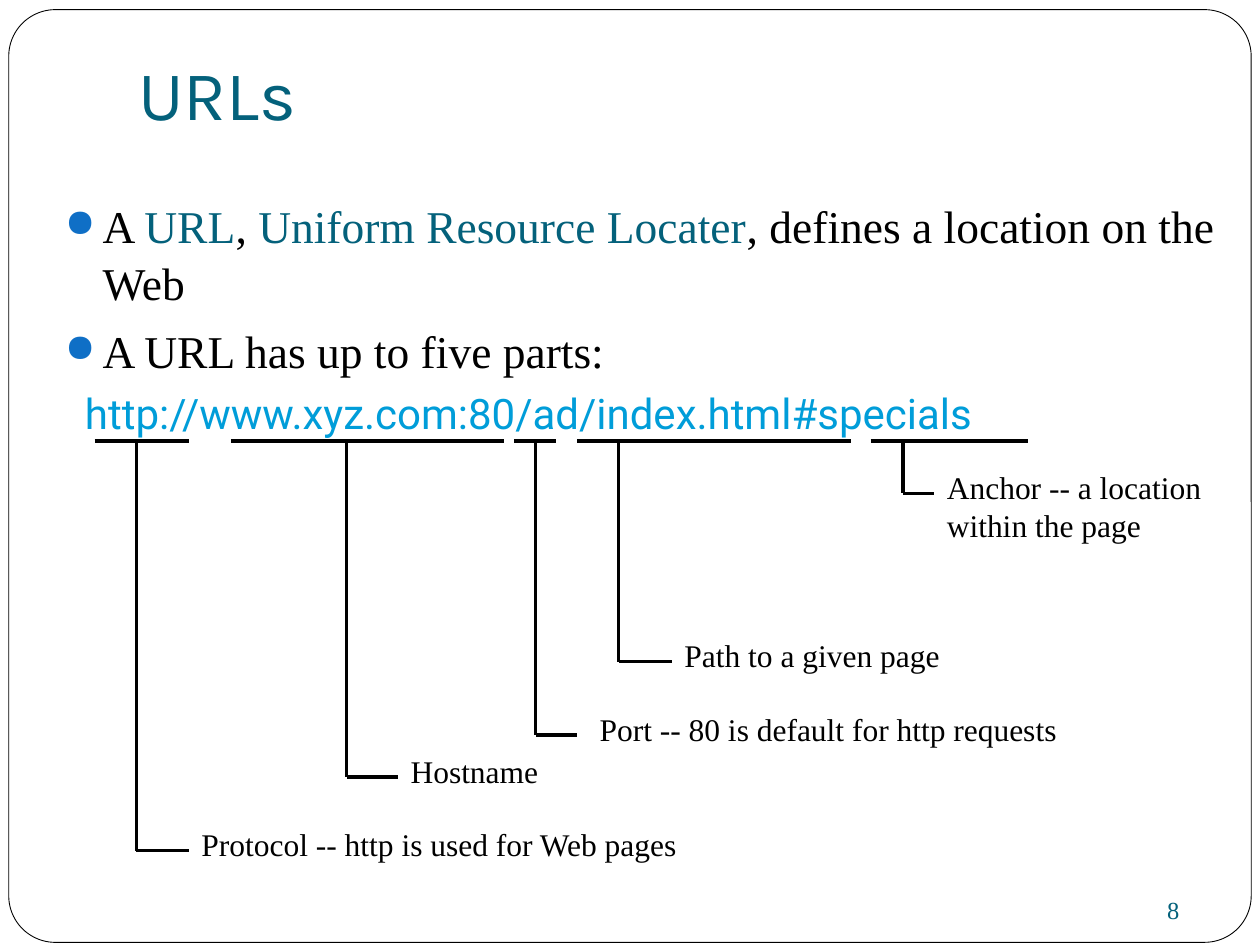
from lxml import etree
from pptx import Presentation
from pptx.dml.color import RGBColor
from pptx.enum import shapes, text
from pptx.oxml.ns import qn
from pptx.util import Pt

BLACK = RGBColor(0x00, 0x00, 0x00)
WHITE = RGBColor(0xFF, 0xFF, 0xFF)
TEAL = RGBColor(0x04, 0x61, 0x7B)
SKY = RGBColor(0x00, 0x9D, 0xD9)
BULLET = RGBColor(0x0F, 0x6F, 0xC6)
SERIF = "Times New Roman"

URL_Y = 252       # underlines below the URL
LABEL_RISE = 18   # label top above its tick

# underline start, underline end, stem x, tick y, tick end,
# label left, label width, label height, label
PARTS = [
    (54, 108, 78, 486, 108, 108, 420, 36, "Protocol -- http is used for Web pages"),
    (132, 288, 198, 444, 227.5, 227.5, 162, 36, "Hostname"),
    (294, 317.5, 306, 420, 330, 335.5, 372, 36, "Port -- 80 is default for http requests"),
    (330, 486, 353.5, 378, 384, 384, 228, 36, "Path to a given page"),
    (497.5, 587.5, 516, 282, 534, 534, 174, 94, "Anchor -- a location within the page"),
]


def set_attrs(obj, **values):
    for name, value in values.items():
        setattr(obj, name, value)


def add_run(p, words, size, color, font=SERIF):
    r = p.add_run()
    r.text = words
    set_attrs(r.font, size=Pt(size), name=font)
    r.font.color.rgb = color


def add_box(slide, left, top, width, height, **frame):
    sp = slide.shapes.add_textbox(Pt(left), Pt(top), Pt(width), Pt(height))
    tf = sp.text_frame
    set_attrs(tf, word_wrap=True, **frame)
    return tf


def add_line(slide, x1, y1, x2, y2):
    line = slide.shapes.add_connector(
        shapes.MSO_CONNECTOR.STRAIGHT, Pt(x1), Pt(y1), Pt(x2), Pt(y2))
    line.line.width = Pt(2)
    line.line.color.rgb = BLACK
    etree.SubElement(line._element.spPr, qn("a:effectLst"))


def set_indent(p, left, first):
    pPr = p._p.get_or_add_pPr()
    pPr.set("marL", str(Pt(left)))
    pPr.set("indent", str(Pt(first)))
    return pPr


def add_bullet(p):
    pPr = set_indent(p, 21.6, -21.6)
    color = etree.SubElement(pPr, qn("a:buClr"))
    etree.SubElement(color, qn("a:srgbClr"), val=str(BULLET))
    etree.SubElement(pPr, qn("a:buSzPct"), val="85000")
    etree.SubElement(pPr, qn("a:buChar"), char="●")


def add_frame(slide):
    sp = slide.shapes.add_shape(
        shapes.MSO_SHAPE.ROUNDED_RECTANGLE, Pt(5), Pt(5.5), Pt(710), Pt(533))
    sp.adjustments[0] = 0.05
    sp.shadow.inherit = False
    sp.fill.solid()
    sp.fill.fore_color.rgb = WHITE
    sp.line.color.rgb = BLACK
    sp.line.width = Pt(0.5)


def add_body(slide):
    tf = add_box(slide, 30, 108, 675.5, 168)
    bullets = [
        [("A ", BLACK), ("URL", TEAL), (", ", BLACK),
         ("Uniform Resource Locater", TEAL),
         (", defines a location on the Web", BLACK)],
        [("A URL has up to five parts:", BLACK)],
    ]
    for i, runs in enumerate(bullets):
        p = tf.add_paragraph() if i else tf.paragraphs[0]
        set_attrs(p, line_spacing=1.05, space_before=Pt(5.8))
        add_bullet(p)
        for words, color in runs:
            add_run(p, words, 26, color)
    p = tf.add_paragraph()
    p.space_before = Pt(5.8)
    set_indent(p, 11.5, 0)
    add_run(p, "http://www.xyz.com:80/ad/index.html#specials", 24, SKY, "Roboto")


def add_part(slide, start, end, stem, tick_y, tick_end, left, width, height, label):
    add_line(slide, start, URL_Y, end, URL_Y)
    add_line(slide, stem, URL_Y, stem, tick_y)
    add_line(slide, stem, tick_y, tick_end, tick_y)
    tf = add_box(slide, left, tick_y - LABEL_RISE, width, height)
    add_run(tf.paragraphs[0], label, 18, BLACK)


def main():
    prs = Presentation()
    set_attrs(prs, slide_width=Pt(720), slide_height=Pt(540))
    slide = prs.slides.add_slide(prs.slide_layouts[6])

    # Border and page number
    add_frame(slide)
    tf = add_box(slide, 486, 512.5, 195, 15,
                 vertical_anchor=text.MSO_ANCHOR.MIDDLE,
                 margin_top=0, margin_bottom=0)
    p = tf.paragraphs[0]
    p.alignment = text.PP_ALIGN.RIGHT
    add_run(p, "8", 14, TEAL)

    # Title and bullets
    tf = add_box(slide, 72, 21.5, 612, 62.5,
                 vertical_anchor=text.MSO_ANCHOR.BOTTOM, margin_bottom=Pt(7.2))
    add_run(tf.paragraphs[0], "URLs", 40, TEAL, "Karla")
    add_body(slide)

    # Callouts for the parts of the URL
    for part in PARTS:
        add_part(slide, *part)

    prs.save("out.pptx")


if __name__ == "__main__":
    main()
